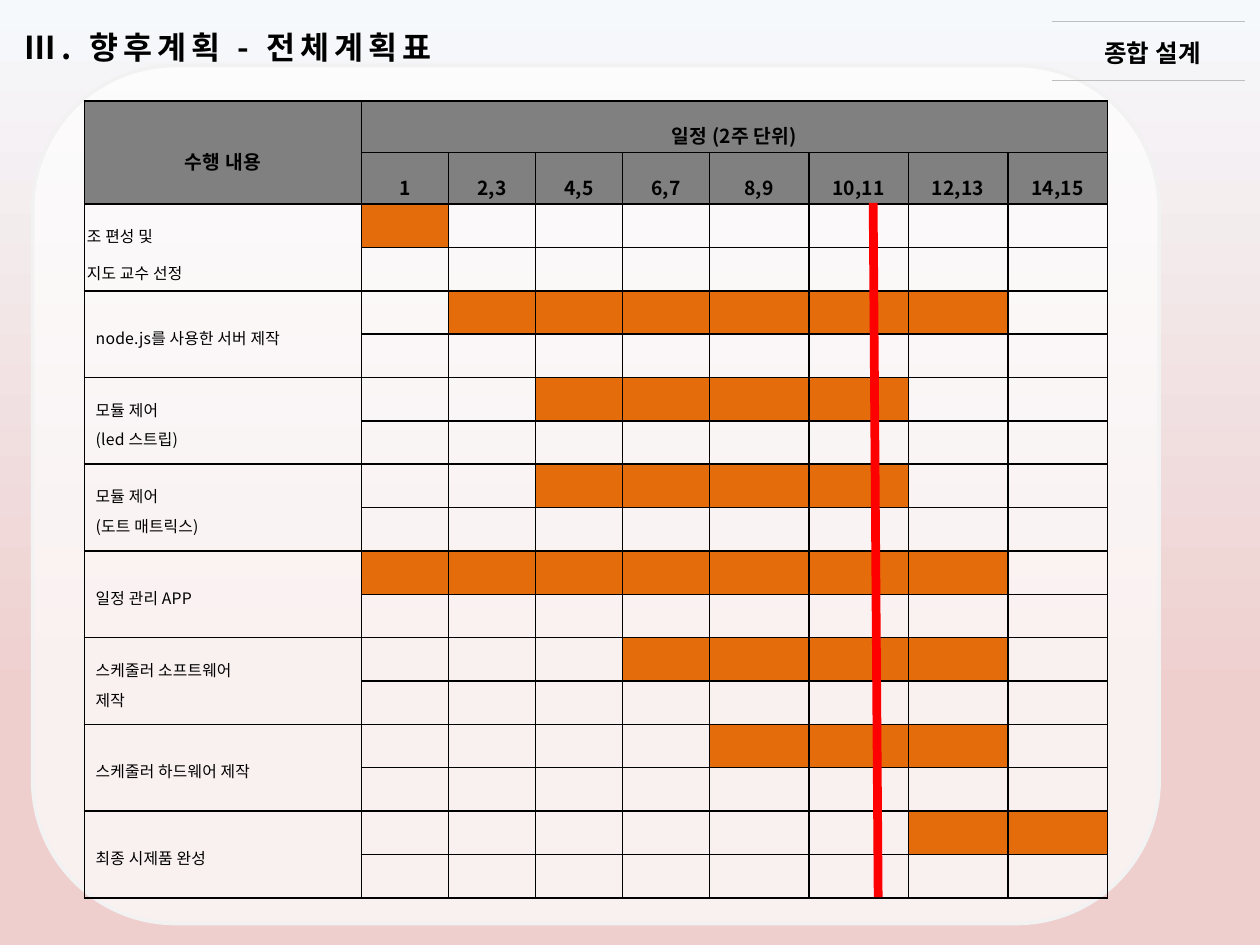
from dataclasses import dataclass

from lxml import etree
from pptx import Presentation
from pptx import util as u
from pptx.dml.color import RGBColor
from pptx.enum import shapes, text
from pptx.oxml import ns

ALIGN = text.PP_ALIGN


@dataclass(frozen=True)
class Theme:
    face: str = "Noto Sans CJK KR"
    ink: str = "000000"
    sky: str = "F6F9FC"
    rose: str = "EECFCE"
    panel: str = "FFFFFF"
    panel_edge: str = "F2F2F2"
    rule: str = "BFBFBF"
    header: str = "808080"
    bar: str = "E46C0A"
    today: str = "FF0000"
    title_size: float = 18
    tag_size: float = 14
    header_size: float = 11
    task_size: float = 9


def rgb(value):
    return RGBColor.from_string(value)


def child(parent, tag, **attributes):
    return etree.SubElement(parent, ns.qn(tag), attributes)


class PlanSlide:
    def __init__(self, deck, theme):
        self.theme = theme
        self.page = deck.slides.add_slide(deck.slide_layouts[6])

    def backdrop(self):
        fill = self.page.background.fill
        fill.gradient()
        fill.gradient_angle = 270
        stops = ((0, self.theme.sky), (0.74, self.theme.rose))
        for stop, (position, color) in zip(fill.gradient_stops, stops):
            stop.position = position
            stop.color.rgb = rgb(color)

    def panel(self, left, top, width, height, opacity):
        panel = self.page.shapes.add_shape(
            shapes.MSO_SHAPE.ROUNDED_RECTANGLE, *map(u.Inches, (left, top, width, height)))
        panel.shadow.inherit = False
        panel.fill.solid()
        panel.fill.fore_color.rgb = rgb(self.theme.panel)
        color = panel._element.spPr.find(".//" + ns.qn("a:srgbClr"))
        child(color, "a:alpha", val=str(opacity * 1000))
        panel.line.color.rgb = rgb(self.theme.panel_edge)
        panel.line.width = u.Pt(2)

    def line(self, start, end, color, width, group=None):
        line = (group or self.page).shapes.add_connector(
            shapes.MSO_CONNECTOR.STRAIGHT, *map(u.Inches, (*start, *end)))
        line.line.color.rgb = rgb(color)
        line.line.width = u.Pt(width)
        child(line._element.spPr, "a:effectLst")

    def add_lines(self, frame, lines, size, bold=True, spacing=0.1, **layout):
        """Fill a frame, one paragraph a line; layout holds paragraph attributes."""
        for index, words in enumerate(lines):
            para = frame.add_paragraph() if index else frame.paragraphs[0]
            for name, value in layout.items():
                setattr(para, name, value)
            span = para.add_run()
            span.text = words
            look = {"name": self.theme.face, "size": u.Pt(size), "bold": bold}
            for name, value in look.items():
                setattr(span.font, name, value)
            span.font.color.rgb = rgb(self.theme.ink)
            properties = span._r.get_or_add_rPr()
            properties.set("spc", str(round(spacing * 100)))
            child(properties, "a:ea", typeface=self.theme.face)

    def textbox(self, area, words, size, group=None, wrap=True, **style):
        box = (group or self.page).shapes.add_textbox(*map(u.Inches, area))
        box.text_frame.word_wrap = wrap
        box.text_frame.auto_size = text.MSO_AUTO_SIZE.SHAPE_TO_FIT_TEXT
        self.add_lines(box.text_frame, [words], size, **style)

    def tag(self, words):
        """Course name between two rules in the top right corner."""
        group = self.page.shapes.add_group_shape()
        self.textbox((8.6, 0.25, 1.03, 0.34), words, self.theme.tag_size,
                     group, wrap=False, alignment=ALIGN.RIGHT)
        for y in (0.17, 0.64):
            self.line((8.35, y), (9.88, y), self.theme.rule, 0.75, group)

    def paint(self, cell, color):
        cell.fill.solid()
        cell.fill.fore_color.rgb = rgb(color)

    def prepare(self, cell):
        """Plain bordered cell whose empty text cannot stretch its row."""
        for side in ("left", "right", "top", "bottom"):
            setattr(cell, "margin_" + side, u.Inches(0.02))
        cell.vertical_anchor = text.MSO_ANCHOR.MIDDLE
        cell.fill.background()
        properties = cell._tc.get_or_add_tcPr()
        for index, tag in enumerate(("a:lnL", "a:lnR", "a:lnT", "a:lnB")):
            border = etree.Element(ns.qn(tag), w=str(u.Pt(1)))
            child(child(border, "a:solidFill"), "a:srgbClr", val=self.theme.ink)
            properties.insert(index, border)
        child(cell.text_frame.paragraphs[0]._p, "a:endParaRPr",
              sz=str(self.theme.task_size * 100))

    def head(self, cell, words):
        self.paint(cell, self.theme.header)
        self.add_lines(cell.text_frame, [words], self.theme.header_size,
                       alignment=ALIGN.CENTER, line_spacing=1.6)

    def schedule(self, area, corner, heading, weeks, tasks):
        """Gantt table: two header rows, then a planned and an actual row a task."""
        header_height, row_count = 0.41, 2 + 2 * len(tasks)
        frame = self.page.shapes.add_table(row_count, 1 + len(weeks), *map(u.Inches, area))
        table = frame.table
        table.first_row = table.horz_banding = False
        for column, width in zip(table.columns, [2.2] + [0.69] * 4 + [0.79] * 4):
            column.width = u.Inches(width)
        row_height = (area[3] - 2 * header_height) / (row_count - 2)
        for index, row in enumerate(table.rows):
            row.height = u.Inches(header_height if index < 2 else row_height)
        for cell in table.iter_cells():
            self.prepare(cell)

        table.cell(0, 0).merge(table.cell(1, 0))
        table.cell(0, 1).merge(table.cell(0, len(weeks)))
        self.head(table.cell(0, 0), corner)
        self.head(table.cell(0, 1), heading)
        for column, week in enumerate(weeks, 1):
            self.head(table.cell(1, column), week)

        for index, (lines, first, last) in enumerate(tasks):
            row = 2 + 2 * index
            name = table.cell(row, 0)
            name.merge(table.cell(row + 1, 0))
            self.add_lines(name.text_frame, lines, self.theme.task_size, bold=False,
                           alignment=ALIGN.JUSTIFY, line_spacing=1.3 if index else 1.6)
            if index:
                for para in name.text_frame.paragraphs:
                    properties = para._p.get_or_add_pPr()
                    properties.set("marL", str(u.Inches(0.07)))
                    properties.set("indent", "0")
            for column in range(first, last + 1):
                self.paint(table.cell(row, column), self.theme.bar)


WEEKS = ["1", "2,3", "4,5", "6,7", "8,9", "10,11", "12,13", "14,15"]
# Task lines, first and last planned column
TASKS = [
    (["조 편성 및", "지도 교수 선정"], 1, 1),
    (["node.js를 사용한 서버 제작"], 2, 7),
    (["모듈 제어", "(led 스트립)"], 3, 6),
    (["모듈 제어", "(도트 매트릭스)"], 3, 6),
    (["일정 관리 APP"], 1, 7),
    (["스케줄러 소프트웨어", "제작"], 4, 7),
    (["스케줄러 하드웨어 제작"], 5, 7),
    (["최종 시제품 완성"], 7, 8),
]


def main():
    deck = Presentation()
    deck.slide_width, deck.slide_height = u.Inches(10), u.Inches(7.5)
    theme = Theme()
    plan = PlanSlide(deck, theme)
    plan.backdrop()
    plan.panel(0.26, 0.52, 8.94, 6.81, opacity=70)
    plan.tag("종합 설계")
    plan.schedule((0.67, 0.8, 8.12, 6.33), "수행 내용", "일정 (2주 단위)", WEEKS, TASKS)
    plan.line((6.93, 1.61), (6.97, 7.12), theme.today, 5)
    plan.textbox((0.1, 0.17, 5.1, 0.4), "Ⅲ. 향후계획 - 전체계획표", theme.title_size, spacing=2.9)
    deck.save("out.pptx")


if __name__ == "__main__":
    main()
